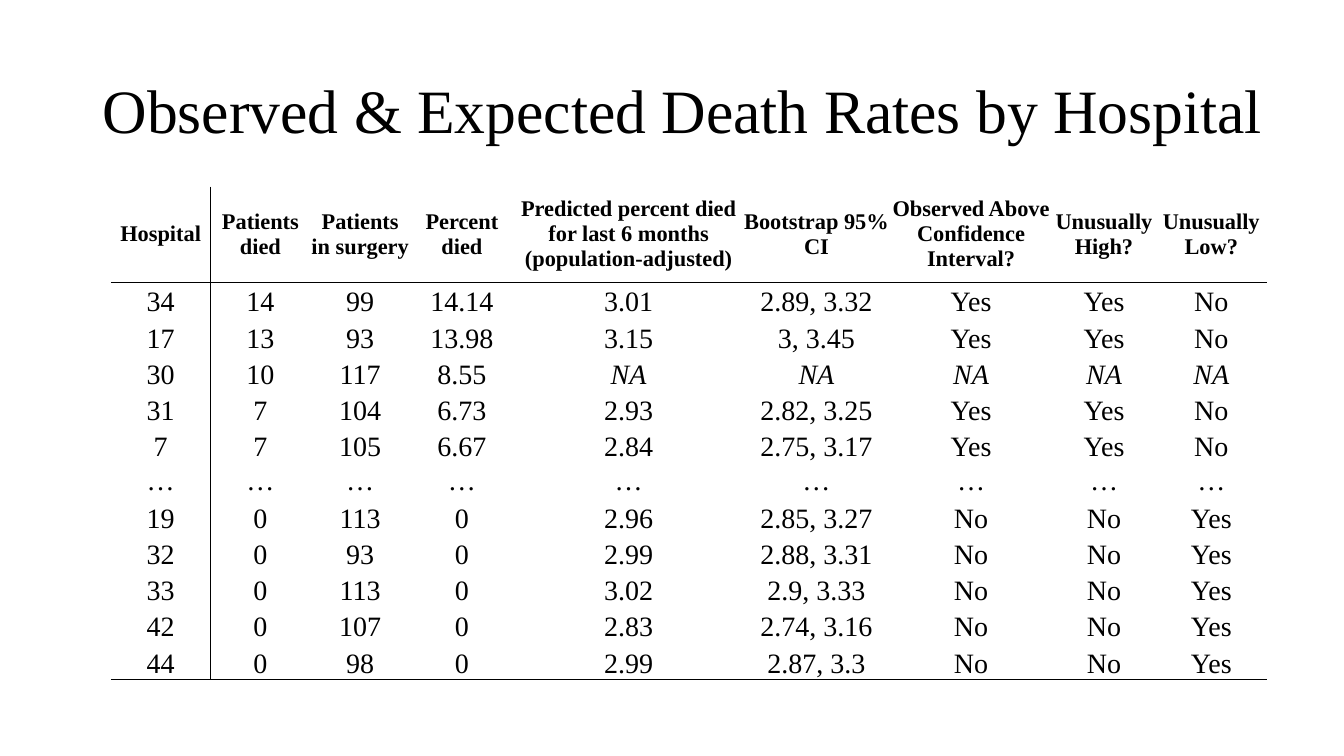
from lxml import etree
from pptx import Presentation
from pptx import util as u
from pptx.dml.color import RGBColor
from pptx.enum import text
from pptx.oxml.ns import qn

BLACK = RGBColor(0x00, 0x00, 0x00)
WHITE = RGBColor(0xFF, 0xFF, 0xFF)
SERIF = "Times New Roman"
PAGE_WIDTH, PAGE_HEIGHT = u.Inches(13.33), u.Inches(7.5)
BORDER_WIDTH = u.Pt(0.5)
NO_INSETS = dict.fromkeys(
    ["margin_left", "margin_right", "margin_top", "margin_bottom"], 0)

# Boxes as percent of the page: left, top, width, height
TITLE_AREA = (6.9, 5.33, 88.75, 19.33)
TABLE_AREA = (8.25, 24.67, 86.05, 65.2)

# Relative widths and heights inside the table
COLUMN_SHARES = [99, 99, 99, 103, 228, 145, 162, 102, 111]
HEADER_SHARE, BODY_SHARE = 95, 36

HEADINGS = [
    "Hospital", "Patients died", "Patients in surgery", "Percent died",
    "Predicted percent died for last 6 months (population-adjusted)",
    "Bootstrap 95% CI", "Observed Above Confidence Interval?",
    "Unusually High?", "Unusually Low?",
]
ABOVE = ["Yes", "Yes", "No"]
BELOW = ["No", "No", "Yes"]
HOSPITALS = [
    ["34", "14", "99", "14.14", "3.01", "2.89, 3.32", *ABOVE],
    ["17", "13", "93", "13.98", "3.15", "3, 3.45", *ABOVE],
    ["30", "10", "117", "8.55"] + ["NA"] * 5,
    ["31", "7", "104", "6.73", "2.93", "2.82, 3.25", *ABOVE],
    ["7", "7", "105", "6.67", "2.84", "2.75, 3.17", *ABOVE],
    ["…"] * len(HEADINGS),
    ["19", "0", "113", "0", "2.96", "2.85, 3.27", *BELOW],
    ["32", "0", "93", "0", "2.99", "2.88, 3.31", *BELOW],
    ["33", "0", "113", "0", "3.02", "2.9, 3.33", *BELOW],
    ["42", "0", "107", "0", "2.83", "2.74, 3.16", *BELOW],
    ["44", "0", "98", "0", "2.99", "2.87, 3.3", *BELOW],
]


def apply_format(target, values):
    """Set every attribute named in values on the target."""
    for name, value in values.items():
        setattr(target, name, value)


def place(area):
    """Turn percentages of the page into left, top, width and height."""
    sides = (PAGE_WIDTH, PAGE_HEIGHT) * 2
    return [int(side * share / 100) for side, share in zip(sides, area)]


def write(frame, words, alignment, **font_values):
    """Put one formatted paragraph into a text frame."""
    para = frame.paragraphs[0]
    para.alignment = alignment
    span = para.add_run()
    span.text = words
    apply_format(span.font, {"name": SERIF, **font_values})
    span.font.color.rgb = BLACK
    return para


def add_title(page, words):
    """Add the slide heading."""
    box = page.shapes.add_textbox(*place(TITLE_AREA))
    apply_format(box.text_frame, {
        "word_wrap": True, "vertical_anchor": text.MSO_ANCHOR.MIDDLE})
    para = write(box.text_frame, words, text.PP_ALIGN.LEFT, size=u.Pt(44))
    para.line_spacing = 0.9


def set_borders(cell, visible):
    """Draw the sides (of L, R, T, B) in visible and clear the others."""
    properties = cell._tc.get_or_add_tcPr()
    for side in "LRTB":
        line = etree.SubElement(properties, qn(f"a:ln{side}"))
        if side in visible:
            line.set("w", str(BORDER_WIDTH))
            fill = etree.SubElement(line, qn("a:solidFill"))
            etree.SubElement(fill, qn("a:srgbClr"), val=str(BLACK))
        else:
            etree.SubElement(line, qn("a:noFill"))


def visible_sides(row, column, last_row):
    """Rule off the header, the hospital column and the table foot."""
    sides = {0: "R", 1: "L"}.get(column, "")
    sides += {0: "B", 1: "T", last_row: "B"}.get(row, "")
    return sides


def fill_cell(cell, words, is_header, sides):
    """Write and format one table cell."""
    centred = is_header or words == "…"
    anchor = text.MSO_ANCHOR.MIDDLE if centred else text.MSO_ANCHOR.BOTTOM
    apply_format(cell, {**NO_INSETS, "vertical_anchor": anchor})
    set_borders(cell, sides)
    cell.fill.background()
    write(cell.text_frame, words, text.PP_ALIGN.CENTER,
          size=u.Pt(16 if is_header else 20),
          bold=is_header, italic=words == "NA")


def add_rate_table(page, rows):
    """Add the table of death rates; the first row is the header."""
    left, top, width, height = place(TABLE_AREA)
    table = page.shapes.add_table(
        len(rows), len(rows[0]), left, top, width, height).table
    apply_format(table, {"first_row": False, "horz_banding": False})
    for column, share in zip(table.columns, COLUMN_SHARES):
        column.width = int(width * share / sum(COLUMN_SHARES))
    row_shares = [HEADER_SHARE] + [BODY_SHARE] * (len(rows) - 1)
    for row, share in zip(table.rows, row_shares):
        row.height = int(height * share / sum(row_shares))
    for r, row in enumerate(rows):
        for c, words in enumerate(row):
            fill_cell(table.cell(r, c), words, r == 0,
                      visible_sides(r, c, len(rows) - 1))


def main():
    """Build and save the slide."""
    deck = Presentation()
    apply_format(deck, {"slide_width": PAGE_WIDTH, "slide_height": PAGE_HEIGHT})
    page = deck.slides.add_slide(deck.slide_layouts[6])
    page.background.fill.solid()
    page.background.fill.fore_color.rgb = WHITE
    add_title(page, "Observed & Expected Death Rates by Hospital")
    add_rate_table(page, [HEADINGS, *HOSPITALS])
    deck.save("out.pptx")


main()
